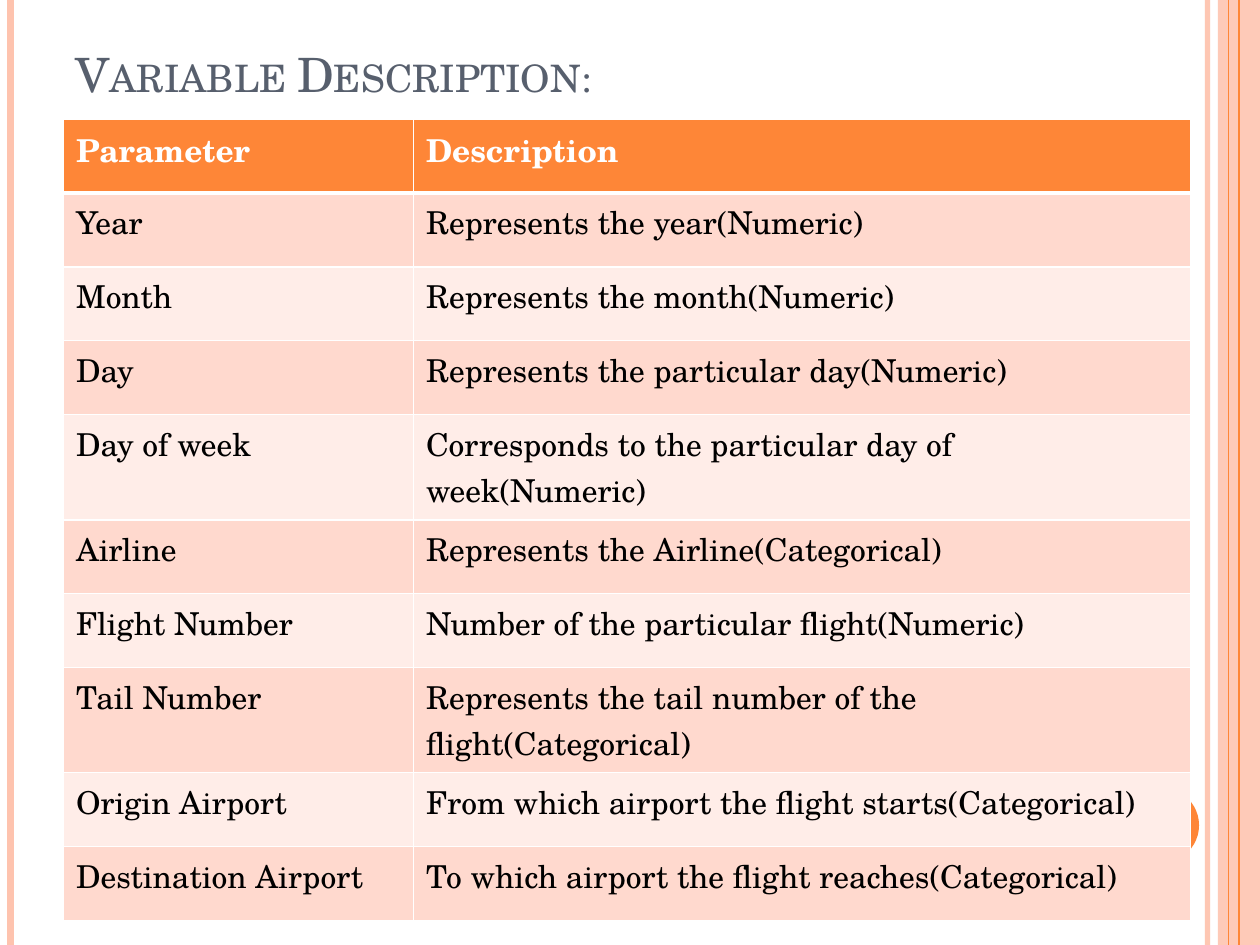
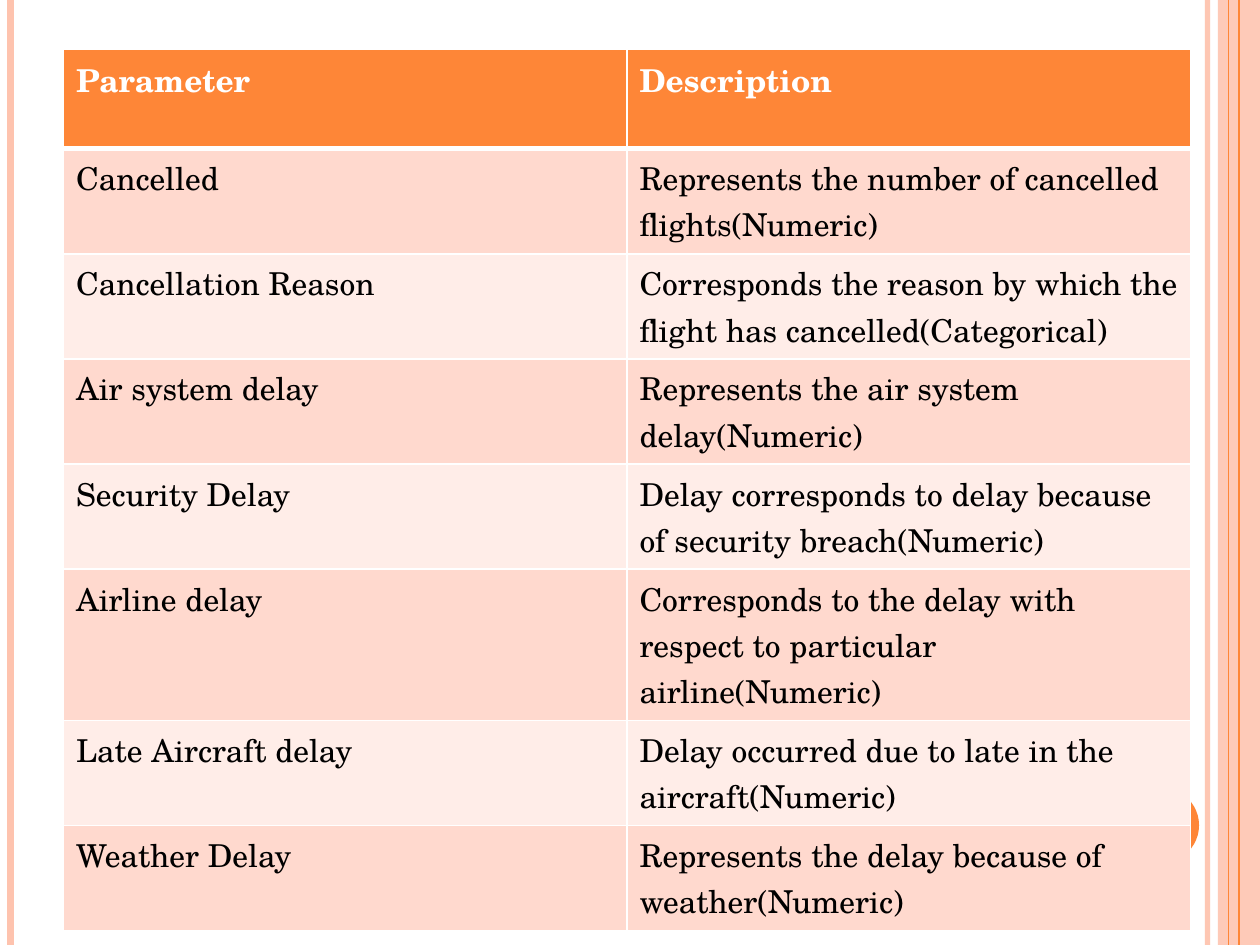
from lxml.etree import SubElement
from pptx import Presentation
from pptx.dml.color import RGBColor
from pptx.enum.shapes import MSO_CONNECTOR, MSO_SHAPE
from pptx.enum.text import MSO_ANCHOR, MSO_AUTO_SIZE, PP_ALIGN
from pptx.oxml.ns import qn
from pptx.util import Pt

SLIDE_WIDTH, SLIDE_HEIGHT = 720, 540
FONT = "TeX Gyre Schola"
ORANGE, PEACH = "FE8637", "FEC3AE"
ROW_FILLS = ("FFD9CE", "FFEDE8")
SLATE, WHITE, BLACK = "575F6D", "FFFFFF", "000000"
TABLE_LEFT = 36.25
HEADER = ("Parameter", "Description")

# x position, colour, width, opacity in percent
EDGE_LINES = [
    (690, PEACH, 3, 93),
    (6, PEACH, 4.5, 100),
    (708, ORANGE, 1.5, 100),
    (702, ORANGE, 0.75, 100),
]

FLIGHT_ROWS = [
    ("Year", "Represents the year(Numeric)"),
    ("Month", "Represents the month(Numeric)"),
    ("Day", "Represents the particular day(Numeric)"),
    ("Day of week", "Corresponds to the particular day of week(Numeric)"),
    ("Airline", "Represents the Airline(Categorical)"),
    ("Flight Number", "Number of the particular flight(Numeric)"),
    ("Tail Number", "Represents the tail number of the flight(Categorical)"),
    ("Origin Airport", "From which airport the flight starts(Categorical)"),
    ("Destination Airport", "To which airport the flight reaches(Categorical)"),
]

DELAY_ROWS = [
    ("Cancelled", "Represents the number of cancelled flights(Numeric)"),
    ("Cancellation Reason",
     "Corresponds the reason by which the flight has cancelled(Categorical)"),
    ("Air system delay", "Represents the air system delay(Numeric)"),
    ("Security Delay",
     "Delay corresponds to delay because of security breach(Numeric)"),
    ("Airline delay",
     "Corresponds to the delay with respect to particular airline(Numeric)"),
    ("Late Aircraft delay",
     "Delay occurred due to late in the aircraft(Numeric)"),
    ("Weather Delay", "Represents the delay because of weather(Numeric)"),
]


def color(hex_string):
    return RGBColor.from_string(hex_string)


def set_opacity(element, percent):
    """Make the first colour inside element partly transparent."""
    if percent < 100:
        rgb = next(element.iter(qn("a:srgbClr")))
        SubElement(rgb, qn("a:alpha"), val=str(percent * 1000))


def write(text_frame, text, size=18, fill=BLACK, bold=False, small_caps=False):
    paragraph = text_frame.paragraphs[0]
    paragraph.alignment = PP_ALIGN.LEFT
    run = paragraph.add_run()
    run.text = text
    run.font.name = FONT
    run.font.size = Pt(size)
    run.font.bold = bold
    run.font.color.rgb = color(fill)
    if small_caps:
        run.font._element.set("cap", "small")


def add_vertical_line(slide, x, line_color, width, opacity):
    line = slide.shapes.add_connector(
        MSO_CONNECTOR.STRAIGHT, Pt(x), 0, Pt(x), Pt(SLIDE_HEIGHT))
    line.line.color.rgb = color(line_color)
    line.line.width = Pt(width)
    properties = line._element.spPr
    set_opacity(properties, opacity)
    SubElement(properties, qn("a:effectLst"))


def add_filled_shape(slide, kind, left, top, width, height, fill, opacity=100):
    shape = slide.shapes.add_shape(
        kind, Pt(left), Pt(top), Pt(width), Pt(height))
    shape.shadow.inherit = False
    shape.line.fill.background()
    shape.fill.solid()
    shape.fill.fore_color.rgb = color(fill)
    set_opacity(shape._element.spPr, opacity)


def add_frame(slide):
    """Draw the edge lines, right band and disc that every slide carries."""
    add_filled_shape(slide, MSO_SHAPE.RECTANGLE, 696, 0, 24, SLIDE_HEIGHT,
                     PEACH, opacity=87)
    for edge_line in EDGE_LINES:
        add_vertical_line(slide, *edge_line)
    add_filled_shape(slide, MSO_SHAPE.OVAL, 642, 450, 43.2, 43.2, ORANGE)


def add_title(slide, text):
    title = slide.shapes.title
    title.left, title.top = Pt(36), Pt(21.6)
    title.width, title.height = Pt(588), Pt(40.4)
    frame = title.text_frame
    frame.auto_size = MSO_AUTO_SIZE.NONE
    frame.vertical_anchor = MSO_ANCHOR.BOTTOM
    write(frame, text, size=27, fill=SLATE, small_caps=True)


def set_borders(cell, **widths):
    """Give the cell white borders; L, R, T and B override the 1 pt width."""
    properties = cell._tc.get_or_add_tcPr()
    for side in "LRTB":
        width = Pt(widths.get(side, 1))
        border = SubElement(properties, qn(f"a:ln{side}"), w=str(width))
        fill = SubElement(border, qn("a:solidFill"))
        SubElement(fill, qn("a:srgbClr"), val=WHITE)


def add_parameter_table(slide, rows, top, row_height, column_widths):
    all_rows = [HEADER] + rows
    table = slide.shapes.add_table(
        len(all_rows), len(HEADER), Pt(TABLE_LEFT), Pt(top),
        Pt(sum(column_widths)), Pt(row_height * len(all_rows))).table
    for column, width in zip(table.columns, column_widths):
        column.width = Pt(width)
    for row_index, texts in enumerate(all_rows):
        table.rows[row_index].height = Pt(row_height)
        is_header = row_index == 0
        for column_index, text in enumerate(texts):
            cell = table.cell(row_index, column_index)
            set_borders(cell, B=3 if is_header else 1,
                        T=3 if row_index == 1 else 1)
            cell.fill.solid()
            cell.fill.fore_color.rgb = color(
                ORANGE if is_header else ROW_FILLS[(row_index - 1) % 2])
            write(cell.text_frame, text, bold=is_header,
                  fill=WHITE if is_header else BLACK)


def main():
    presentation = Presentation()
    presentation.slide_width = Pt(SLIDE_WIDTH)
    presentation.slide_height = Pt(SLIDE_HEIGHT)
    title_only, blank = presentation.slide_layouts[5], presentation.slide_layouts[6]

    flight_slide = presentation.slides.add_slide(title_only)
    add_frame(flight_slide)
    add_title(flight_slide, "Variable Description:")
    add_parameter_table(flight_slide, FLIGHT_ROWS, top=68, row_height=42.25,
                        column_widths=(200, 444))

    delay_slide = presentation.slides.add_slide(blank)
    add_frame(delay_slide)
    add_parameter_table(delay_slide, DELAY_ROWS, top=28.4, row_height=56.6,
                        column_widths=(322, 322))

    presentation.save("out.pptx")


if __name__ == "__main__":
    main()
